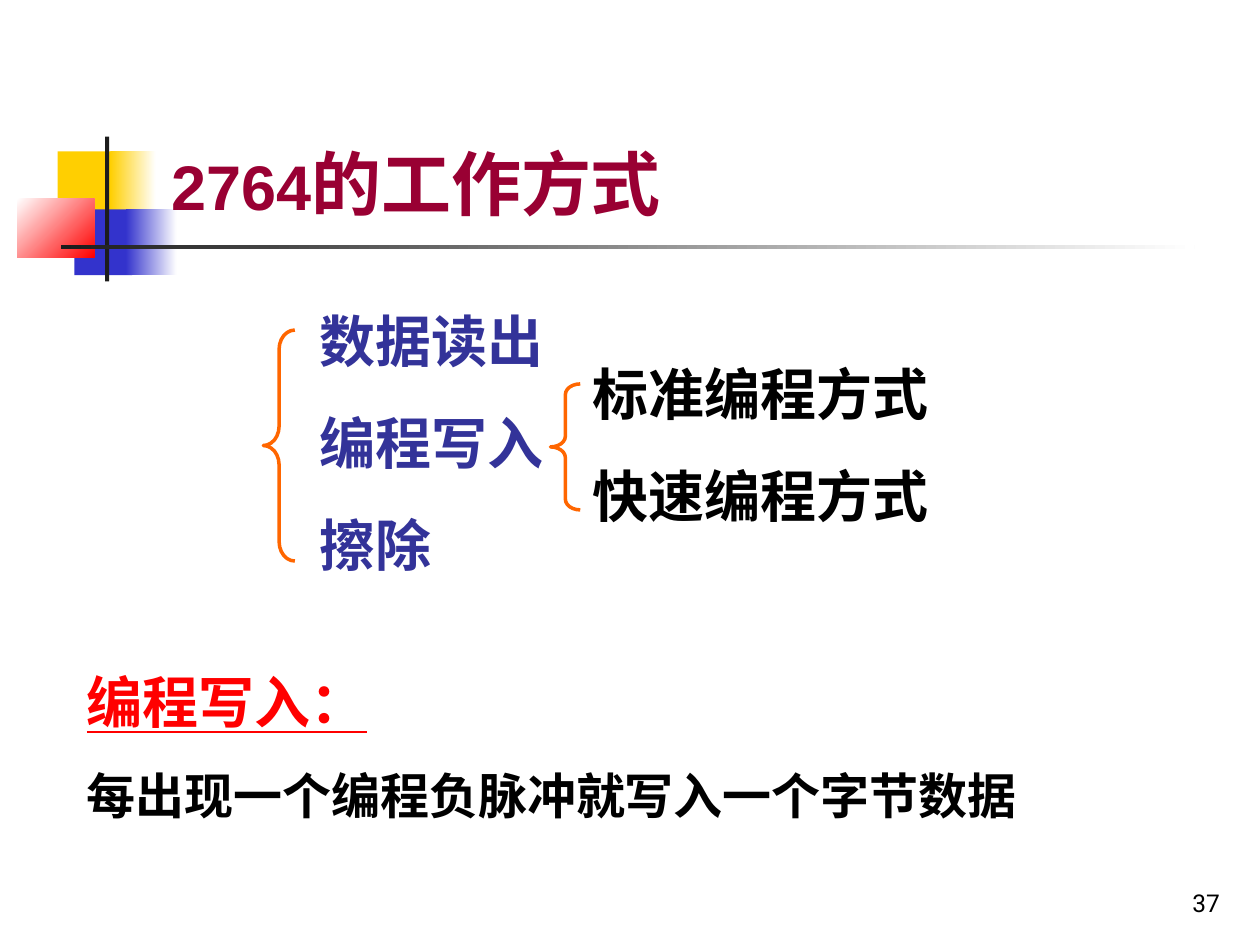
from dataclasses import dataclass

from pptx import Presentation
from pptx.dml.color import RGBColor as RGB
from pptx.enum.lang import MSO_LANGUAGE_ID as LANG
from pptx.enum.shapes import MSO_SHAPE as SHAPE
from pptx.enum.text import MSO_ANCHOR as ANCHOR, PP_ALIGN as ALIGN
from pptx.util import Pt


@dataclass(frozen=True)
class Theme:
    yellow: str = "FFCF01"
    blue: str = "3333CC"
    red: str = "FF0000"
    white: str = "FFFFFF"
    black: str = "000000"
    rule: str = "1C1C1C"
    title: str = "990033"
    mode: str = "333399"
    brace: str = "FF6600"
    title_font: str = "Arial"
    body_font: str = "Times New Roman"
    number_font: str = "Roboto"
    title_size: int = 40
    title_digits: int = 36
    body_size: int = 32
    note_size: int = 28
    number_size: int = 14


def add_run(p, text, *, size, color, font, bold=True, underline=False):
    r = p.add_run()
    r.text = text
    f = r.font
    f.size, f.name, f.bold, f.underline = Pt(size), font, bold, underline
    f.color.rgb = RGB.from_string(color)
    f.language_id = LANG.SIMPLIFIED_CHINESE


class Slide:
    def __init__(self, s, theme):
        self.s, self.theme = s, theme

    def shape(self, kind, box):
        sp = self.s.shapes.add_shape(kind, *map(Pt, box))
        sp.shadow.inherit = False
        return sp

    def block(self, box, color, end=None, angle=0):
        """Rectangle without outline, solid or fading from color to end."""
        sp = self.shape(SHAPE.RECTANGLE, box)
        sp.line.fill.background()
        if end is None:
            sp.fill.solid()
            sp.fill.fore_color.rgb = RGB.from_string(color)
            return
        sp.fill.gradient()
        sp.fill.gradient_angle = angle
        for stop, value in zip(sp.fill.gradient_stops, (color, end)):
            stop.color.rgb = RGB.from_string(value)

    def brace(self, box, curve):
        sp = self.shape(SHAPE.LEFT_BRACE, box)
        sp.adjustments[0] = curve
        sp.fill.background()
        sp.line.color.rgb = RGB.from_string(self.theme.brace)
        sp.line.width = Pt(2)

    def text(self, box, paragraphs, *, anchor=ANCHOR.TOP, align=ALIGN.LEFT, gap=20):
        """Each paragraph is a list of (text, format) runs."""
        tf = self.s.shapes.add_textbox(*map(Pt, box)).text_frame
        tf.word_wrap = True
        tf.vertical_anchor = anchor
        for i, runs in enumerate(paragraphs):
            p = tf.add_paragraph() if i else tf.paragraphs[0]
            p.alignment = align
            if i:
                p.space_before = Pt(gap)
            for text, style in runs:
                add_run(p, text, **style)


def main():
    t = Theme()
    prs = Presentation()
    prs.slide_width, prs.slide_height = Pt(720), Pt(540)
    page = Slide(prs.slides.add_slide(prs.slide_layouts[6]), t)

    # Corner ornament and title rule
    page.block((33, 86.5, 34.5, 37.5), t.yellow)
    page.block((63, 86.5, 26, 37.5), t.yellow, t.white)
    page.block((42.5, 119.7, 33, 37.5), t.blue)
    page.block((72, 119.7, 29, 37.5), t.blue, t.white)
    page.block((10, 113.7, 44, 33.5), t.white, t.red, angle=315)
    page.block((60, 78, 2.4, 82.8), t.rule)
    page.block((34.7, 140, 648, 2.5), t.rule, t.white)

    # Page number
    number = dict(size=t.number_size, color=t.black, font=t.number_font, bold=False)
    page.text((554.4, 491.8, 149.8, 36), [[("37", number)]],
              anchor=ANCHOR.BOTTOM, align=ALIGN.RIGHT)

    # Title
    title = dict(size=t.title_size, color=t.title, font=t.title_font)
    page.text((90.7, 16.6, 613.4, 115.2),
              [[("2764", title | dict(size=t.title_digits)), ("的工作方式", title)]],
              anchor=ANCHOR.BOTTOM)

    # Working modes and the two ways of programming
    body = dict(size=t.body_size, color=t.black, font=t.body_font)
    mode = body | dict(color=t.mode)
    page.text((175.7, 171.4, 162, 162.7),
              [[(name, mode)] for name in ("数据读出", "编程写入", "擦除")])
    page.text((331.2, 201.6, 210.2, 104.4),
              [[(name, body)] for name in ("标准编程方式", "快速编程方式")])
    page.brace((150.5, 188.6, 18, 132), 0.61)
    page.brace((314.6, 219.4, 17, 72), 0.36)

    # Explanation of programming
    page.text((42.5, 378, 630, 97.2),
              [[("编程写入：", body | dict(color=t.red, underline=True))],
               [("每出现一个编程负脉冲就写入一个字节数据", body | dict(size=t.note_size))]],
              gap=17.5)

    prs.save("out.pptx")


if __name__ == "__main__":
    main()
